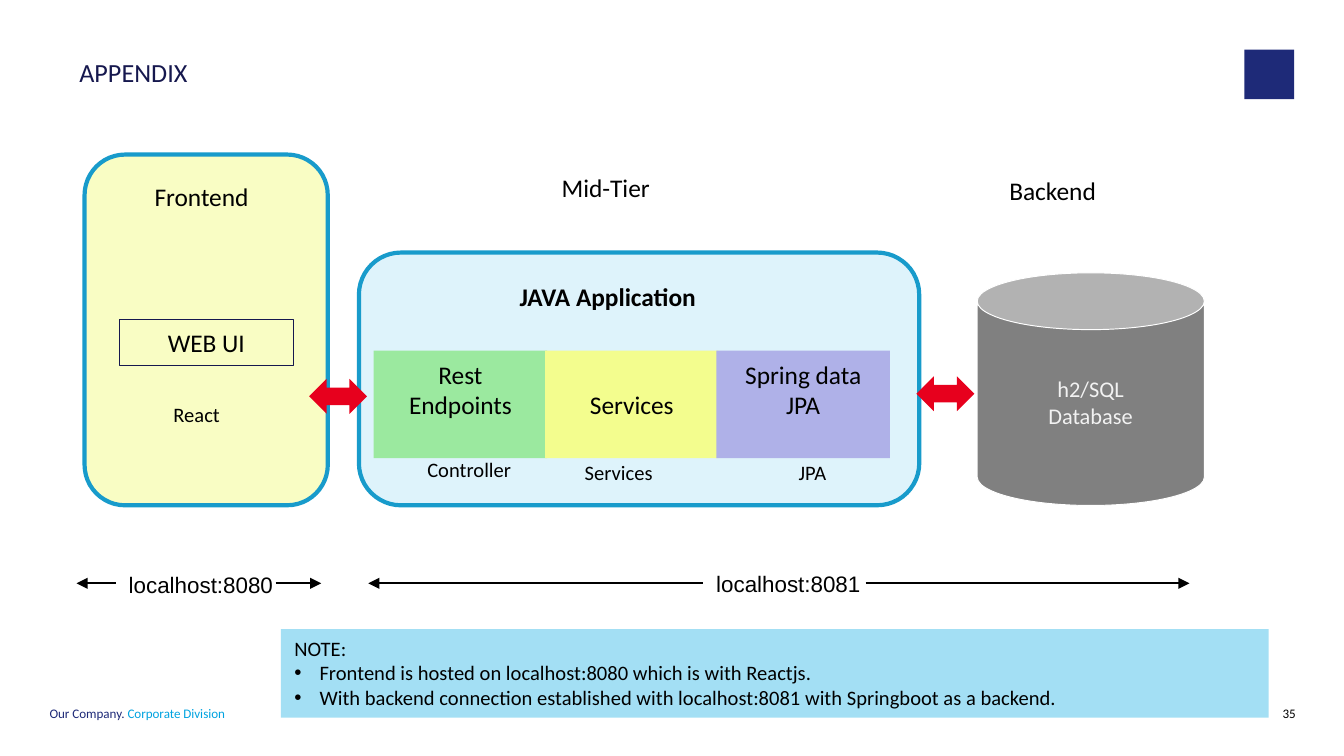
from dataclasses import dataclass

from lxml import etree
from pptx import Presentation
from pptx.dml.color import RGBColor
from pptx.enum.shapes import MSO_CONNECTOR, MSO_SHAPE
from pptx.enum.text import MSO_ANCHOR, MSO_AUTO_SIZE, PP_ALIGN
from pptx.oxml.ns import qn
from pptx.util import Pt

LEFT, MID, RIGHT = PP_ALIGN.LEFT, PP_ALIGN.CENTER, PP_ALIGN.RIGHT
TOP, CENTER = MSO_ANCHOR.TOP, MSO_ANCHOR.MIDDLE
RECT, ROUND, CAN = MSO_SHAPE.RECTANGLE, MSO_SHAPE.ROUNDED_RECTANGLE, MSO_SHAPE.CAN
ARROW, STRAIGHT = MSO_SHAPE.LEFT_RIGHT_ARROW, MSO_CONNECTOR.STRAIGHT
NO_FIT = MSO_AUTO_SIZE.NONE

BLACK, NAVY, INK = "000000", "1E2A78", "16184E"
BLUE, SKY, RED = "189BCB", "A3DFF4", "E7001D"
WIDE = (7.9, 4.3)
STOCK = (7.2, 3.6)


@dataclass
class Box:
    x: float
    y: float
    w: float
    h: float
    kind: int = RECT
    fill: str = ""
    alpha: int = 100
    edge: str = ""
    weight: float = 0.5


@dataclass
class Label:
    lines: list[str]
    x: float
    y: float
    w: float
    h: float
    size: float = 13.6
    color: str = BLACK
    align: int = LEFT
    bold: bool = False
    face: str = "Calibri"
    inset: tuple = WIDE


@dataclass
class Layer:
    lines: list[str]
    fill: str
    anchor: int


def rgb(code: str) -> RGBColor:
    return RGBColor.from_string(code)


def add_run(para, text: str, size: float, color: str = BLACK,
            bold: bool = False, face: str = "Calibri") -> None:
    run = para.add_run()
    run.text = text
    run.font.size = Pt(size)
    run.font.name = face
    run.font.bold = bold
    run.font.color.rgb = rgb(color)


def set_frame(frame, inset: tuple = WIDE, anchor: int = TOP) -> None:
    frame.word_wrap = True
    frame.auto_size = NO_FIT
    frame.vertical_anchor = anchor
    frame.margin_left = frame.margin_right = Pt(inset[0])
    frame.margin_top = frame.margin_bottom = Pt(inset[1])


def place(shape, x: float, y: float, w: float, h: float) -> None:
    shape.left, shape.top, shape.width, shape.height = Pt(x), Pt(y), Pt(w), Pt(h)


def paras(frame, count: int) -> list:
    return [frame.paragraphs[0]] + [frame.add_paragraph() for _ in range(count - 1)]


def write(frame, lines: list[str], size: float, align: int, **look) -> None:
    for para, line in zip(paras(frame, len(lines)), lines):
        para.alignment = align
        add_run(para, line, size, **look)


def draw_box(slide, box: Box):
    shape = slide.shapes.add_shape(box.kind, Pt(box.x), Pt(box.y), Pt(box.w), Pt(box.h))
    shape.shadow.inherit = False
    if box.fill:
        shape.fill.solid()
        shape.fill.fore_color.rgb = rgb(box.fill)
        if box.alpha < 100:
            tint = shape.fill._xPr.find(".//" + qn("a:srgbClr"))
            etree.SubElement(tint, qn("a:alpha"), val=str(box.alpha * 1000))
    else:
        shape.fill.background()
    if box.edge:
        shape.line.color.rgb = rgb(box.edge)
        shape.line.width = Pt(box.weight)
    else:
        shape.line.fill.background()
    return shape


def draw_label(slide, item: Label) -> None:
    area = slide.shapes.add_textbox(Pt(item.x), Pt(item.y), Pt(item.w), Pt(item.h))
    set_frame(area.text_frame, item.inset)
    write(area.text_frame, item.lines, item.size, item.align,
          color=item.color, bold=item.bold, face=item.face)


def draw_arrow(slide, start: float, end: float, y: float) -> None:
    line = slide.shapes.add_connector(STRAIGHT, Pt(start), Pt(y), Pt(end), Pt(y))
    line.line.color.rgb = rgb(BLACK)
    line.line.width = Pt(1)
    etree.SubElement(line.line._get_or_add_ln(), qn("a:tailEnd"), type="triangle")
    etree.SubElement(line._element.spPr, qn("a:effectLst"))


def draw_small(slide, x: float, w: float, align: int, parts: list[tuple]) -> None:
    """Draw a footer line from (text, colour) parts."""
    area = slide.shapes.add_textbox(Pt(x), Pt(378.4), Pt(w), Pt(18.7))
    set_frame(area.text_frame, (0, 0))
    para = area.text_frame.paragraphs[0]
    para.alignment = align
    para.line_spacing = Pt(8)
    for text, color in parts:
        add_run(para, text, 7, color)


def fill_note(body) -> None:
    place(body, 150.5, 337, 529.2, 47.5)
    body.fill.solid()
    body.fill.fore_color.rgb = rgb(SKY)
    set_frame(body.text_frame, STOCK)
    lines = ["NOTE:",
             "Frontend is hosted on localhost:8080 which is with Reactjs.",
             "With backend connection established with localhost:8081 "
             "with Springboot as a backend."]
    for rank, (para, line) in enumerate(zip(paras(body.text_frame, 3), lines)):
        hang = Pt(13.5) if rank else 0
        props = para._p.get_or_add_pPr()
        props.set("marL", str(hang))
        props.set("indent", str(-hang))
        mark = etree.SubElement(props, qn("a:buChar" if rank else "a:buNone"))
        if rank:
            mark.set("char", "•")
        para.space_before = Pt(0)
        add_run(para, line, 11)


BOXES = [
    Box(666.7, 26.6, 26.6, 26.6, fill=NAVY),
    Box(523.5, 146.2, 121.7, 124.6, CAN, "808080", edge="FFFFFF"),
    Box(192.3, 135.3, 300.2, 135.4, ROUND, SKY, 35, BLUE, 2.25),
    Box(45.3, 82.8, 130.3, 187.9, ROUND, "F3FB7E", 45, BLUE, 2.25),
]
LAYERS = [
    Layer(["Rest", "Endpoints"], "9BE99F", TOP),
    Layer(["Services"], "F3FD8E", CENTER),
    Layer(["Spring data JPA"], "AFB1E8", TOP),
]
LABELS = [
    Label(["React"], 85, 211, 50.4, 21.6, 11),
    Label(["Frontend"], 74.9, 92.9, 128.9, 25.2),
    Label(["Mid-Tier"], 293, 87.8, 128.9, 25.2),
    Label(["Backend"], 532.8, 89.3, 128.9, 25.2),
    Label(["JAVA Application"], 270.4, 146.5, 128.9, 25.2, bold=True),
    Label(["Controller"], 221, 240.5, 71.3, 21.6, 11),
    Label(["Services"], 305.3, 241.9, 71.3, 21.6, 11),
    Label(["JPA"], 399.6, 241.9, 71.3, 21.6, 11, align=MID),
    Label(["h2/SQL", "Database"], 519.8, 196.6, 128.9, 37.4, 12, "F2F2F2", MID),
    Label(["localhost:8080"], 61.9, 302.2, 100, 21.6, 12, face="Arial", inset=STOCK),
    Label(["localhost:8081"], 376.6, 301.7, 100, 21.6, 12, face="Arial", inset=STOCK),
]
LINKS = [(491, 201.6), (165.6, 203)]
SPANS = [(376.6, 197.3), (463.7, 637.2), (147.6, 172.1), (61.9, 41)]


def main() -> None:
    deck = Presentation()
    deck.slide_width, deck.slide_height = Pt(720), Pt(405)
    slide = deck.slides.add_slide(deck.slide_layouts[1])
    title, body = slide.placeholders

    place(title, 34.6, 25.9, 241.9, 25.2)
    set_frame(title.text_frame)
    write(title.text_frame, ["APPENDIX"], 14, LEFT, color=INK)
    fill_note(body)

    for box in BOXES:
        draw_box(slide, box)
    web = draw_box(slide, Box(64.1, 171.4, 92.9, 24.5, edge=INK))
    set_frame(web.text_frame, anchor=CENTER)
    write(web.text_frame, ["WEB UI"], 13.6, MID)
    for rank, layer in enumerate(LAYERS):
        cell = draw_box(slide, Box(200.2 + 91.8 * rank, 187.9, 92.9, 57.6, fill=layer.fill))
        set_frame(cell.text_frame, anchor=layer.anchor)
        write(cell.text_frame, layer.lines, 13.6, MID)
    for x, y in LINKS:
        draw_box(slide, Box(x, y, 31, 18.7, ARROW, RED))
    for item in LABELS:
        draw_label(slide, item)
    for start, end in SPANS:
        draw_arrow(slide, start, end, 312.5)

    draw_small(slide, 26.6, 141.8, LEFT,
               [("Our Company. ", NAVY), ("Corporate Division", "00A3E0")])
    draw_small(slide, 666.7, 27.4, RIGHT, [("35", BLACK)])
    deck.save("out.pptx")


if __name__ == "__main__":
    main()
